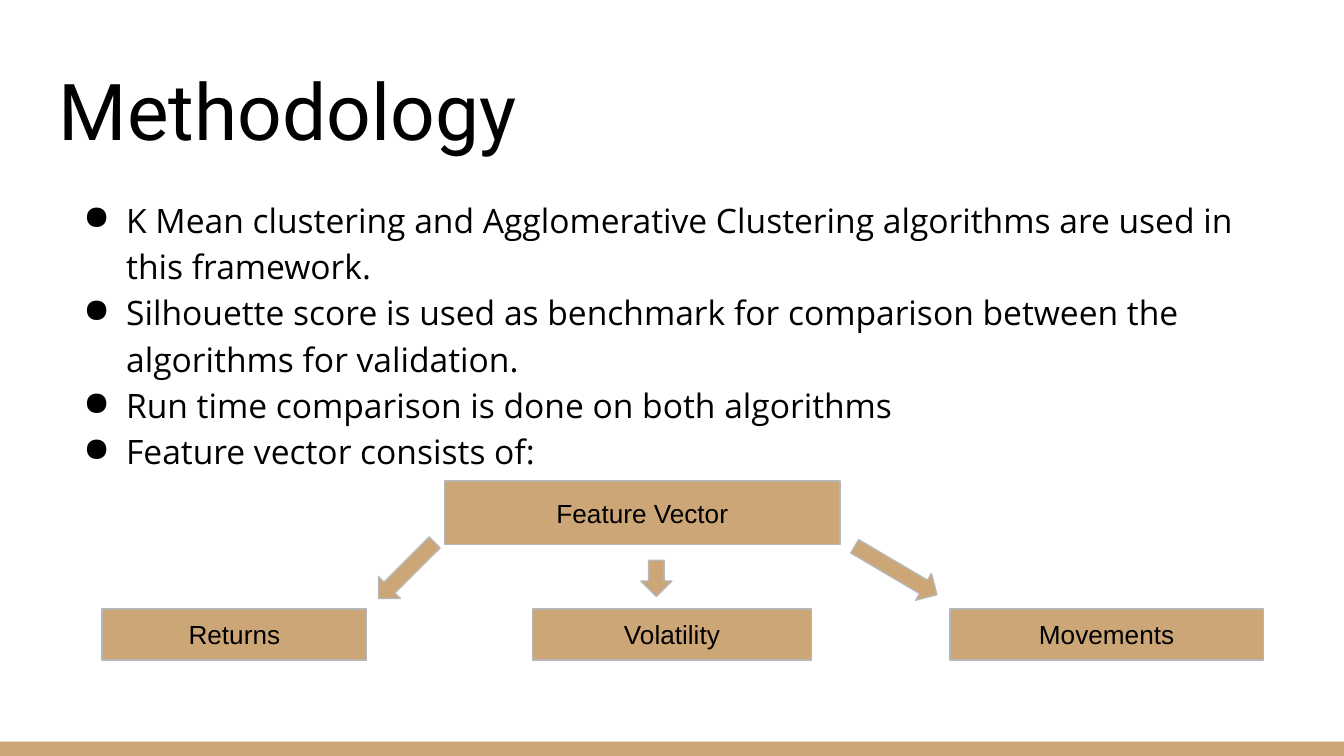
from lxml.etree import SubElement
from pptx import Presentation
from pptx.dml.color import RGBColor
from pptx.enum.shapes import MSO_SHAPE as Shape
from pptx.enum.text import MSO_ANCHOR as Anchor, PP_ALIGN as Align
from pptx.oxml.ns import qn
from pptx.util import Pt

COLORS = {"tan": "CCA677", "outline": "B7B7B7", "text": "000000"}
INSET = 7.2
BULLETS = [
    "K Mean clustering and Agglomerative Clustering algorithms are used in this framework.",
    "Silhouette score is used as benchmark for comparison between the algorithms for validation.",
    "Run time comparison is done on both algorithms",
    "Feature vector consists of:",
]
FEATURE_TOP, FEATURE_HEIGHT = 326.2, 27.4
FEATURES = [("Returns", 54.7, 141.8), ("Volatility", 285.1, 149.8), ("Movements", 509, 167.8)]
ARROW_WIDTH = 16.6
ARROWS = [(209.5, 284.4, 42.5, 45), (343.4, 300.2, 19.4, 0), (471.6, 280.1, 51.1, 300.5)]


def color(name):
    return RGBColor.from_string(COLORS[name])


def set_attributes(target, values):
    for name, value in values.items():
        setattr(target, name, value)


def write_text(shape, lines, font, size, anchor, **paragraph_format):
    """Fill the shape with one paragraph per line and return the paragraphs."""
    frame = shape.text_frame
    margins = {f"margin_{side}": Pt(INSET) for side in ("left", "top", "right", "bottom")}
    set_attributes(frame, {"word_wrap": True, "vertical_anchor": anchor, **margins})
    frame.text = "\n".join(lines)
    for paragraph in frame.paragraphs:
        set_attributes(paragraph, paragraph_format)
        for run in paragraph.runs:
            set_attributes(run.font, {"name": font, "size": Pt(size)})
            run.font.color.rgb = color("text")
    return frame.paragraphs


def add_bullet(paragraph, indent=36, hanging=22.9):
    properties = paragraph._p.get_or_add_pPr()
    properties.set("marL", str(Pt(indent)))
    properties.set("indent", str(-Pt(hanging)))
    bullet_color = SubElement(properties, qn("a:buClr"))
    SubElement(bullet_color, qn("a:srgbClr"), val=COLORS["text"])
    SubElement(properties, qn("a:buChar"), char="●")


def add_text_box(slide, bounds, lines, *text_format, **paragraph_format):
    box = slide.shapes.add_textbox(*map(Pt, bounds))
    return write_text(box, lines, *text_format, **paragraph_format)


def add_tan_shape(slide, kind, bounds, outlined=True):
    shape = slide.shapes.add_shape(kind, *map(Pt, bounds))
    shape.shadow.inherit = False
    shape.fill.solid()
    shape.fill.fore_color.rgb = color("tan")
    if outlined:
        shape.line.color.rgb = color("outline")
        shape.line.width = Pt(0.75)
    else:
        shape.line.fill.background()
    return shape


def add_label_box(slide, label, *bounds):
    box = add_tan_shape(slide, Shape.RECTANGLE, bounds)
    write_text(box, [label], "Arial", 14, Anchor.MIDDLE, alignment=Align.CENTER)


def add_arrow(slide, left, top, length, rotation):
    arrow = add_tan_shape(slide, Shape.DOWN_ARROW, (left, top, ARROW_WIDTH, length))
    arrow.rotation = rotation


def main():
    presentation = Presentation()
    set_attributes(presentation, {"slide_width": Pt(720), "slide_height": Pt(405)})
    slide = presentation.slides.add_slide(presentation.slide_layouts[6])

    add_tan_shape(slide, Shape.RECTANGLE, (0, 397.4, 720, 7.6), outlined=False)
    add_text_box(slide, (24.5, 25.2, 671, 65.5), ["Methodology"], "Roboto", 42, Anchor.BOTTOM)
    for paragraph in add_text_box(slide, (24.5, 96.5, 671, 264), BULLETS,
                                  "Open Sans", 18, Anchor.TOP, line_spacing=1.15):
        add_bullet(paragraph)

    add_label_box(slide, "Feature Vector", 238.3, 257.8, 211.7, 33.8)
    for label, left, width in FEATURES:
        add_label_box(slide, label, left, FEATURE_TOP, width, FEATURE_HEIGHT)
    for arrow in ARROWS:
        add_arrow(slide, *arrow)

    presentation.save("out.pptx")


if __name__ == "__main__":
    main()
